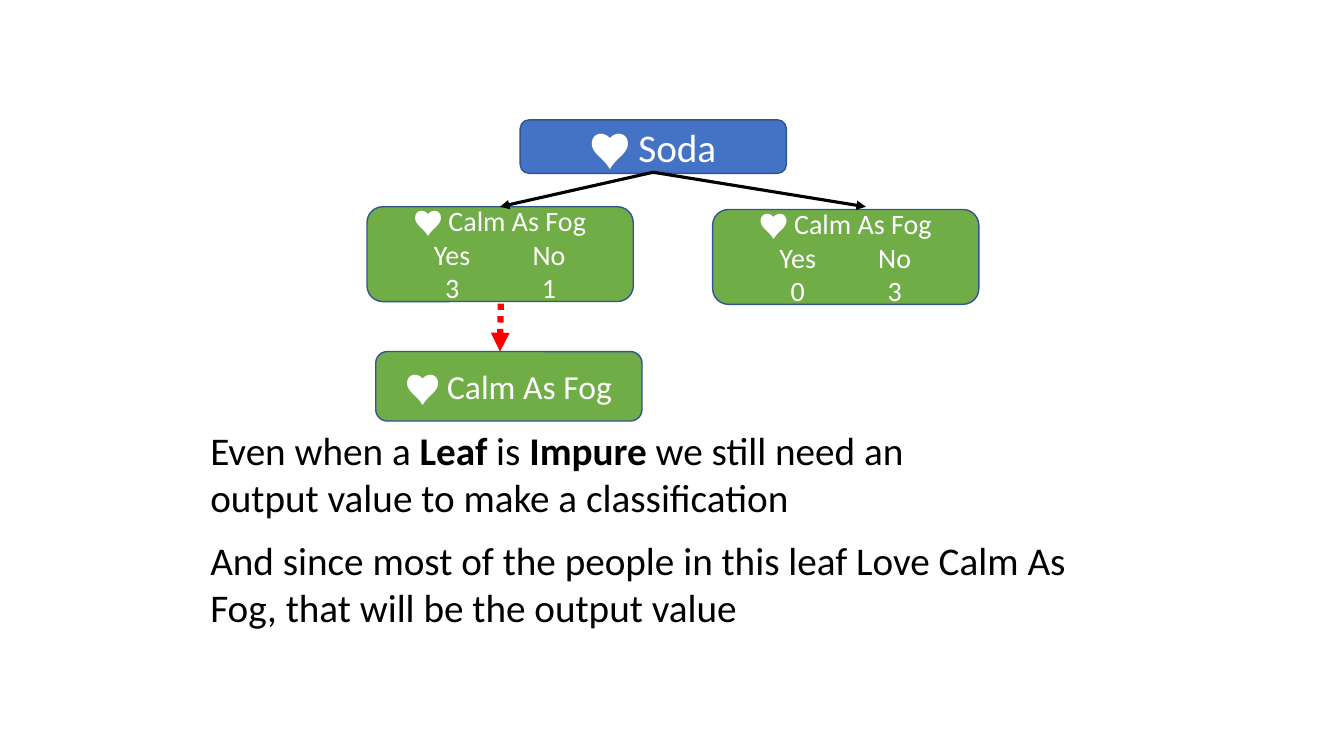
import lxml.etree
import pptx
import pptx.dml.color
import pptx.enum.dml
import pptx.enum.shapes
import pptx.enum.text
import pptx.oxml.ns
import pptx.util

Cm = pptx.util.Cm
Pt = pptx.util.Pt
RGBColor = pptx.dml.color.RGBColor
ALIGN = pptx.enum.text.PP_ALIGN
qn = pptx.oxml.ns.qn

BLUE = RGBColor(0x44, 0x72, 0xC4)
GREEN = RGBColor(0x70, 0xAD, 0x47)
OUTLINE = RGBColor(0x32, 0x54, 0x91)
RED = RGBColor(0xFF, 0, 0)
BLACK = RGBColor(0, 0, 0)
WHITE = RGBColor(0xFF, 0xFF, 0xFF)

NODE_WIDTH = 6.71
COUNT_TABS = (1.78, 4.22)
CALM = "♥︎ Calm As Fog"


def style_font(font, size, color, bold=False):
    font.color.rgb = color
    for key, value in {"name": "Calibri", "size": Pt(size), "bold": bold}.items():
        setattr(font, key, value)


def add_count_tabs(p):
    """Add centred tab stops for the Yes and No columns."""
    tabs = lxml.etree.SubElement(p._p.get_or_add_pPr(), qn("a:tabLst"))
    for pos in COUNT_TABS:
        lxml.etree.SubElement(tabs, qn("a:tab"), pos=str(int(Cm(pos))), algn="ctr")


def add_node(s, x, y, height, fill, size, title, rows=()):
    """Add a tree node with a centred title and optional two-column rows."""
    sp = s.shapes.add_shape(
        pptx.enum.shapes.MSO_SHAPE.ROUNDED_RECTANGLE,
        Cm(x), Cm(y), Cm(NODE_WIDTH), Cm(height))
    sp.shadow.inherit = False
    sp.fill.solid()
    sp.fill.fore_color.rgb = fill
    sp.line.color.rgb = OUTLINE
    sp.line.width = Pt(1)
    tf = sp.text_frame
    tf.vertical_anchor = pptx.enum.text.MSO_ANCHOR.MIDDLE
    p = tf.paragraphs[0]
    p.alignment = ALIGN.CENTER
    r = p.add_run()
    r.text = title
    style_font(r.font, size, WHITE)
    for row in rows:
        p = tf.add_paragraph()
        p.alignment = ALIGN.LEFT
        add_count_tabs(p)
        r = p.add_run()
        r.text = "".join(f"\t{cell}" for cell in row)
        style_font(r.font, size, WHITE)


def add_arrow(s, start, end, color, width, dash=None):
    c = s.shapes.add_connector(
        pptx.enum.shapes.MSO_CONNECTOR.STRAIGHT,
        *(Cm(v) for v in (*start, *end)))
    c.line.color.rgb = color
    c.line.width = Pt(width)
    if dash:
        c.line.dash_style = dash
    sp_pr = c._element.spPr
    lxml.etree.SubElement(sp_pr.find(qn("a:ln")), qn("a:tailEnd"), type="triangle")
    lxml.etree.SubElement(sp_pr, qn("a:effectLst"))


def add_note(s, y, width, parts):
    """Add a text box from (text, bold) parts."""
    tf = s.shapes.add_textbox(Cm(5.05), Cm(y), Cm(width), Cm(2.64)).text_frame
    tf.word_wrap = True
    for text, bold in parts:
        r = tf.paragraphs[0].add_run()
        r.text = text
        style_font(r.font, 28, BLACK, bold)


def main():
    prs = pptx.Presentation()
    prs.slide_width, prs.slide_height = Cm(33.87), Cm(19.05)
    s = prs.slides.add_slide(prs.slide_layouts[6])

    add_node(s, 13.11, 3.02, 1.35, BLUE, 28, "♥︎ Soda")
    for x, y, counts in ((9.25, 5.21, (3, 1)), (17.96, 5.28, (0, 3))):
        add_node(s, x, y, 2.39, GREEN, 20, CALM, [("Yes", "No"), counts])
    for x in (12.6, 21.82):
        add_arrow(s, (16.46, 4.34), (x, 5.21), BLACK, 2.25)

    add_note(s, 10.62, 20.62, [
        ("Even when a ", False), ("Leaf", True), (" is ", False), ("Impure", True),
        (" we still need an output value to make a classification", False)])
    add_note(s, 13.39, 22.83, [
        ("And since most of the people in this leaf Love Calm As Fog, "
         "that will be the output value", False)])

    add_node(s, 9.47, 8.86, 1.75, GREEN, 24, CALM)
    add_arrow(s, (12.62, 7.65), (12.6, 8.86), RED, 4.5,
              pptx.enum.dml.MSO_LINE.ROUND_DOT)
    prs.save("out.pptx")


if __name__ == "__main__":
    main()
